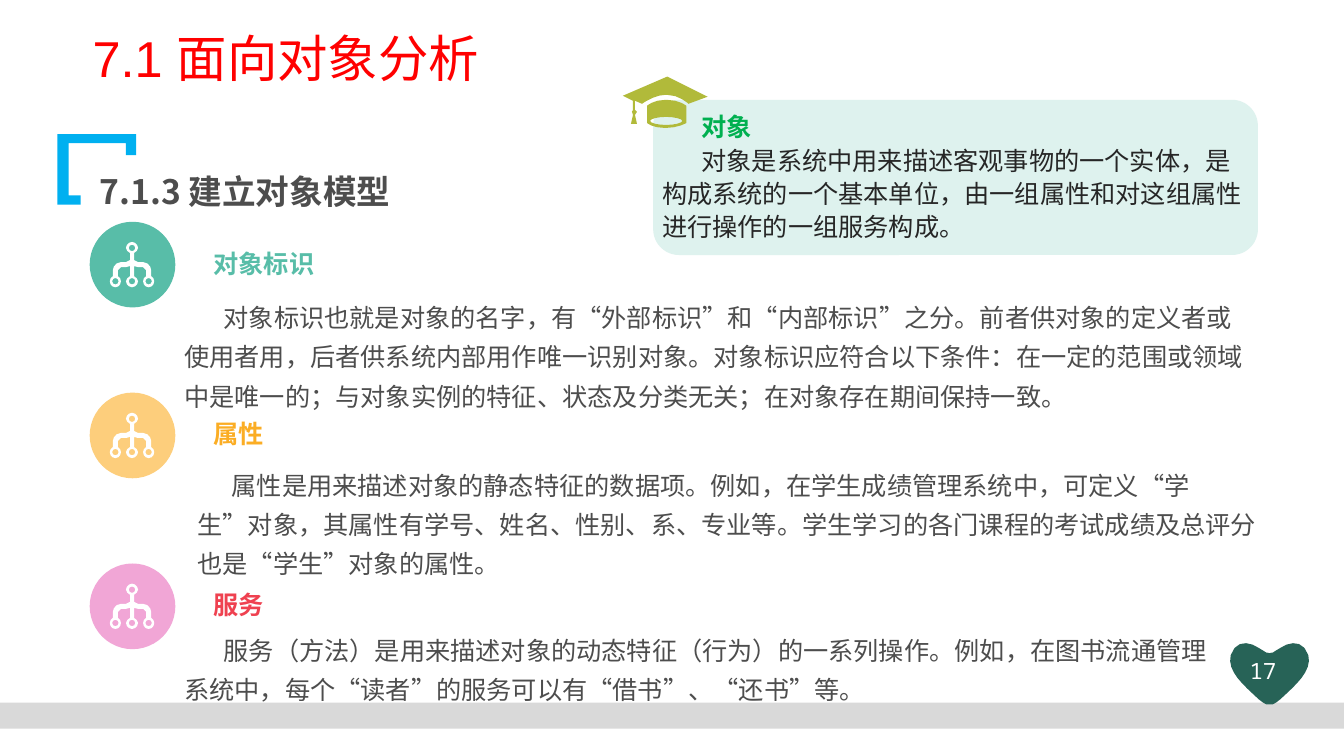
import math

import lxml.etree
import pptx
import pptx.dml.color
import pptx.enum.shapes
import pptx.enum.text
import pptx.oxml.ns
import pptx.util

WIDTH, HEIGHT = pptx.util.Inches(13.33), pptx.util.Inches(7.5)
COLUMN, ROW = WIDTH / 160, HEIGHT / 90
FINE = 100
SANS = "Noto Sans CJK SC"
COLORS = {
    "title": "FF0000", "text": "4D4D4D", "dark": "262626", "white": "FFFFFF",
    "bracket": "00B0F0", "bar": "D9D9D9", "heart": "276357",
    "card": "DEF2EE", "cap": "B1BA3A", "term": "00B050",
    "teal": "58BDA8", "amber": "FDCE7C", "orange": "FBAD24",
    "pink": "F1A6D6", "red": "EF4150",
}
SHAPES = pptx.enum.shapes.MSO_SHAPE

BRACKET = [(0, 0), (78, 0), (78, 21), (68, 21), (68, 9), (11, 9), (11, 61), (23, 61), (23, 70), (0, 70)]
HEART_HALF = [
    (42.5, 13), (45, 13, 47, 12, 48, 11), (53, 8), (63, 1, 76, 0, 81, 15),
    (85, 31, 68, 45, 53, 59), (49, 62), (47, 64, 45, 64, 42.5, 64),
]
TREE_HALF = [
    (22, 0), (25, 0, 28, 3, 28, 6), (28, 8, 26, 10, 24, 11), (24, 18), (28, 20),
    (33, 20), (38, 20, 41, 25, 41, 28), (41, 34),
    (43, 35, 44, 37, 44, 39), (44, 42, 42, 45, 38.5, 45), (35, 45, 33, 42, 33, 39),
    (33, 37, 34, 35, 36, 34), (36, 28), (33, 25), (28, 25),
    (24, 24), (24, 34), (26, 35, 28, 37, 28, 39), (28, 42, 25, 45, 22, 45),
]
TREE_HOLES = [(22, 6), (5.5, 39), (22, 39), (38.5, 39)]
CAP = [
    [(65, 27), (65, 27, 56, 18, 43, 18), (31, 18, 19, 27, 19, 27), (12, 24), (12, 33),
     (14, 35), (12, 38), (14, 47), (8, 47), (10, 38), (9, 35), (10, 33), (10, 24),
     (0, 19), (44, 0), (84, 20)],
    [(43, 23), (56, 23, 63, 29, 63, 29), (63, 46), (63, 46, 55, 51, 42, 51),
     (29, 51, 24, 46, 24, 46), (24, 29), (24, 29, 30, 23, 43, 23)],
    [(43, 48), (51, 48, 59, 46, 59, 44), (59, 42, 51, 40, 43, 40),
     (34, 40, 27, 42, 27, 44), (27, 46, 34, 48, 43, 48)],
]
TOPICS = [
    ("对象标识", "teal", "teal", (10.08, 7.92, 128.76, 15.36), 0.39,
     "对象标识也就是对象的名字，有“外部标识”和“内部标识”之分。前者供对象的定义者或使用者用，后者供系统内部用作唯一识别对象。对象标识应符合以下条件：在一定的范围或领域中是唯一的；与对象实例的特征、状态及分类无关；在对象存在期间保持一致。"),
    ("属性", "amber", "orange", (11.64, 7.56, 128.88, 15.36), 0.34,
     "属性是用来描述对象的静态特征的数据项。例如，在学生成绩管理系统中，可定义“学生”对象，其属性有学号、姓名、性别、系、专业等。学生学习的各门课程的考试成绩及总评分也是“学生”对象的属性。"),
    ("服务", "pink", "red", (10.08, 6.84, 126.6, 10.56), 0.39,
     "服务（方法）是用来描述对象的动态特征（行为）的一系列操作。例如，在图书流通管理系统中，每个“读者”的服务可以有“借书”、“还书”等。"),
]


def place(box):
    """Turn a box in grid columns and rows into slide lengths."""
    left, top, width, height = box
    return round(left * COLUMN), round(top * ROW), round(width * COLUMN), round(height * ROW)


def paint(shape, color):
    """Give a shape a plain fill with no line or shadow."""
    shape.shadow.inherit = False
    shape.fill.solid()
    shape.fill.fore_color.rgb = pptx.dml.color.RGBColor.from_string(COLORS[color])
    shape.line.fill.background()


def add_block(slide, kind, box, color):
    """Add a filled preset shape."""
    paint(slide.shapes.add_shape(kind, *place(box)), color)


def flatten(outline):
    """Turn corners and Bezier curves into points, more of them on longer curves."""
    points = [outline[0]]
    for step in outline[1:]:
        if len(step) == 2:
            points.append(step)
            continue
        corners = [points[-1], step[:2], step[2:4], step[4:]]
        pieces = 2 + int(math.dist(corners[0], corners[3]) / 8)
        for share in (count / pieces for count in range(1, pieces + 1)):
            weights = [math.comb(3, i) * share ** i * (1 - share) ** (3 - i) for i in range(4)]
            points.append(tuple(sum(w * c[axis] for w, c in zip(weights, corners)) for axis in (0, 1)))
    return points


def mirror(half):
    """Complete a right half outline about its starting axis."""
    points = flatten(half)
    return points + [(2 * points[0][0] - x, y) for x, y in reversed(points[1:-1])]


def circle(x, y, radius):
    """Return the points of a small circle."""
    turns = [math.tau * count / 8 for count in range(8)]
    return [(x + radius * math.cos(turn), y + radius * math.sin(turn)) for turn in turns]


def add_outline(slide, left, top, contours, color):
    """Draw closed contours, in hundredths of an inch, from a grid position."""
    builder = None
    for contour in contours:
        points = [(x * FINE, y * FINE) for x, y in contour]
        if builder is None:
            builder = slide.shapes.build_freeform(*points[0], scale=pptx.util.Inches(0.01) / FINE)
        else:
            builder.move_to(*points[0])
        builder.add_line_segments(points[1:], close=True)
    paint(builder.convert_to_shape(round(left * COLUMN), round(top * ROW)), color)


def add_text(slide, box, lines, size=18, font=SANS, spacing=1.0, indent=0, centered=False):
    """Add a text box of (text, color, bold) lines."""
    frame = slide.shapes.add_textbox(*place(box)).text_frame
    frame.word_wrap = True
    for index, (text, color, bold) in enumerate(lines):
        paragraph = frame.add_paragraph() if index else frame.paragraphs[0]
        paragraph.line_spacing = spacing
        if centered:
            paragraph.alignment = pptx.enum.text.PP_ALIGN.CENTER
        if indent:
            paragraph._p.get_or_add_pPr().set("indent", str(pptx.util.Inches(indent)))
        run = paragraph.add_run()
        run.text = text
        run.font.size = pptx.util.Pt(size)
        run.font.name = font
        run.font.bold = bold
        run.font.color.rgb = pptx.dml.color.RGBColor.from_string(COLORS[color])
        properties = run._r.get_or_add_rPr()
        properties.set("lang", "zh-CN")
        lxml.etree.SubElement(properties, pptx.oxml.ns.qn("a:ea")).set("typeface", SANS)


def add_footer(slide, box):
    """Draw the bottom bar and the heart with the page number."""
    left, top, width, height = box
    add_block(slide, SHAPES.RECTANGLE, box, "bar")
    heart_left, heart_top = left + width - 13.96, top - 7.44
    add_outline(slide, heart_left, heart_top, [mirror(HEART_HALF)], "heart")
    add_text(slide, (heart_left + 0.12, heart_top + 1.44, 8.4, 4.68), [("17", "white", False)],
             size=16, font="Noto Sans Mono", centered=True)


def add_header(slide, box):
    """Place the title, the corner bracket and the section heading."""
    left, top, width, height = box
    add_outline(slide, left - 3, top + 12.48, [BRACKET], "bracket")
    add_text(slide, box, [("7.1 面向对象分析", "title", False)], size=36, font="Arial", spacing=0.9)
    add_text(slide, (left + 0.84, top + 14.88, 75.84, 6.84), [("7.1.3 建立对象模型", "text", True)],
             size=24, spacing=1.3)


def add_definition(slide, box):
    """Draw the definition card with its graduation cap."""
    left, top, width, height = box
    add_block(slide, SHAPES.ROUNDED_RECTANGLE, box, "card")
    add_outline(slide, left - 3.6, top - 2.76, [flatten(contour) for contour in CAP], "cap")
    lines = [("对象", "term", True),
             ("对象是系统中用来描述客观事物的一个实体，是构成系统的一个基本单位，由一组属性和对这组属性进行操作的一组服务构成。", "dark", False)]
    add_text(slide, (left - 0.12, top + 0.48, width, height - 1.44), lines, spacing=1.1, indent=0.39)


def add_topic(slide, box, topic):
    """Draw one topic: badge, heading and explanation."""
    heading, badge, accent, offset, indent, text = topic
    left, top, width, height = box
    add_text(slide, (left + offset[0], top + offset[1], *offset[2:]), [(text, "text", False)],
             spacing=1.3, indent=indent)
    add_text(slide, (left + 13.56, top + 2.52, 30, 5.04), [(heading, accent, True)])
    add_block(slide, SHAPES.OVAL, box, badge)
    holes = [circle(x, y, 3.2) for x, y in TREE_HOLES]
    add_outline(slide, left + 2.4, top + 2.4, [mirror(TREE_HALF)] + holes, "white")


def main():
    """Build and save the slide."""
    presentation = pptx.Presentation()
    presentation.slide_width, presentation.slide_height = WIDTH, HEIGHT
    slide = presentation.slides.add_slide(presentation.slide_layouts[6])
    add_footer(slide, (0, 83.64, 160, 3.12))
    add_header(slide, (9.84, 3.48, 110.4, 11.28))
    add_definition(slide, (77.76, 11.88, 72, 18.48))
    for index, topic in enumerate(TOPICS):
        add_topic(slide, (10.68, 26.4 + 20.34 * index, 10.2, 10.2), topic)
    presentation.save("out.pptx")


if __name__ == "__main__":
    main()
